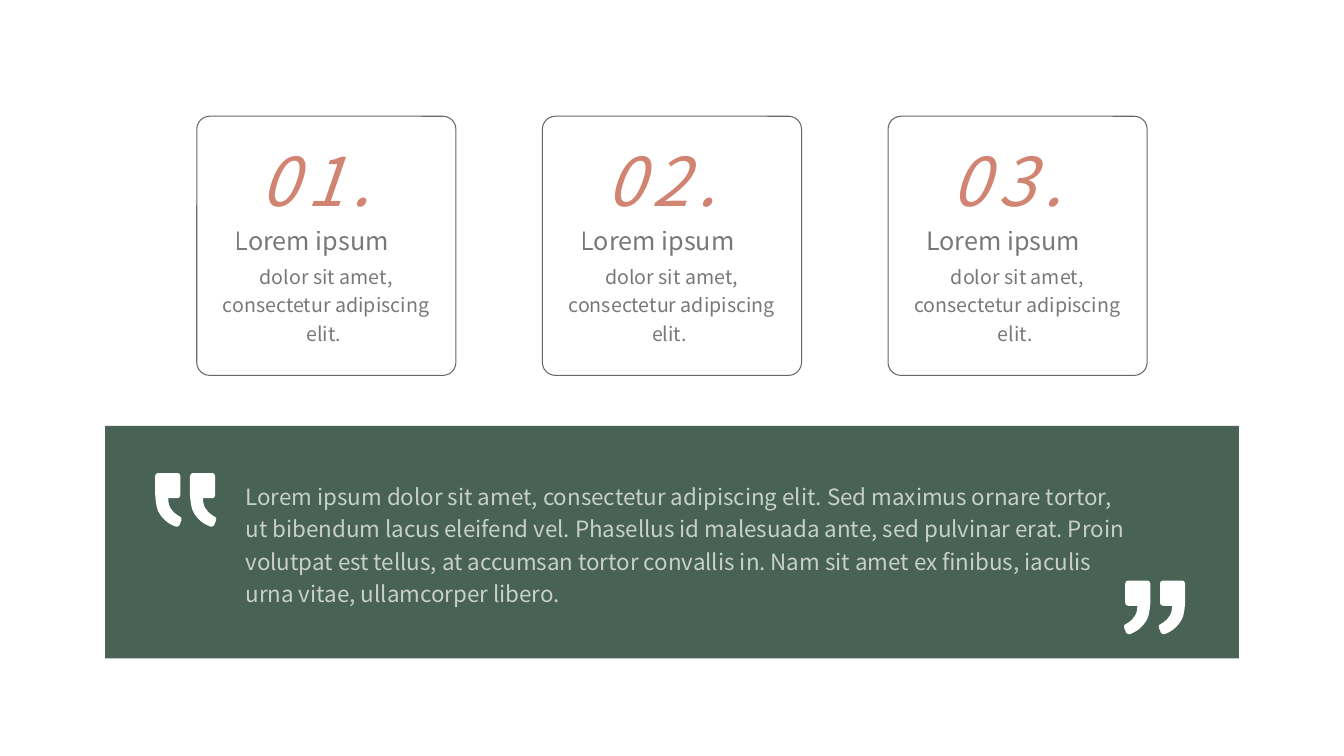
"""Build a slide with three numbered cards above a quotation band."""
from lxml import etree
from pptx import Presentation
from pptx.dml.color import RGBColor
from pptx.enum.shapes import MSO_SHAPE
from pptx.enum.text import MSO_AUTO_SIZE, PP_ALIGN
from pptx.oxml.ns import qn
from pptx.util import Cm, Pt

RECT = MSO_SHAPE.RECTANGLE
ROUNDED = MSO_SHAPE.ROUNDED_RECTANGLE
GROW = MSO_AUTO_SIZE.SHAPE_TO_FIT_TEXT
LEFT, CENTER = PP_ALIGN.LEFT, PP_ALIGN.CENTER
FONT = "Noto Sans CJK SC"
GREEN, CORAL, GRAY, DARK, WHITE = "486255", "D28472", "66676C", "404040", "FFFFFF"
QUOTE = (
    "Lorem ipsum dolor sit amet, consectetur adipiscing elit. Sed maximus ornare "
    "tortor, ut bibendum lacus eleifend vel. Phasellus id malesuada ante, sed "
    "pulvinar erat. Proin volutpat est tellus, at accumsan tortor convallis in. "
    "Nam sit amet ex finibus, iaculis urna vitae, ullamcorper libero."
)


def rgb(value):
    """Turn a hex string into a colour."""
    return RGBColor.from_string(value)


def add_text(text, x, y, w, h, size, color, align=LEFT, spacing=1.0,
             italic=False, tracking=0, opacity=100):
    """Add a text box with one formatted run, placed in centimetres."""
    tf = s.shapes.add_textbox(Cm(x), Cm(y), Cm(w), Cm(h)).text_frame
    tf.word_wrap = True
    tf.auto_size = GROW
    p = tf.paragraphs[0]
    p.alignment = align
    p.line_spacing = spacing
    r = p.add_run()
    r.text = text
    r.font.name = FONT
    r.font.size = Pt(size)
    r.font.italic = italic
    r.font.color.rgb = rgb(color)
    rPr = r._r.get_or_add_rPr()
    if tracking:
        rPr.set("spc", str(tracking * 100))
    if opacity < 100:
        clr = rPr.find(".//" + qn("a:srgbClr"))
        etree.SubElement(clr, qn("a:alpha")).set("val", str(opacity * 1000))


prs = Presentation()
prs.slide_width, prs.slide_height = Cm(33.87), Cm(19.05)
s = prs.slides.add_slide(prs.slide_layouts[6])

band = s.shapes.add_shape(RECT, Cm(2.65), Cm(10.73), Cm(28.57), Cm(5.86))
band.shadow.inherit = False
band.fill.solid()
band.fill.fore_color.rgb = rgb(GREEN)
band.line.fill.background()

for i, number in enumerate(["01.", "02.", "03."]):
    x = 4.96 + 8.71 * i
    card = s.shapes.add_shape(ROUNDED, Cm(x), Cm(2.93), Cm(6.53), Cm(6.53))
    card.adjustments[0] = 0.05
    card.shadow.inherit = False
    card.fill.background()
    card.line.color.rgb = rgb(GRAY)
    card.line.width = Pt(0.75)
    add_text(number, x + 1.36, 3.38, 3.81, 2.31, 48, CORAL, italic=True, tracking=6)
    add_text("dolor sit amet, consectetur adipiscing elit. ", x + 0.3, 6.44, 5.92, 2.36,
             14, DARK, align=CENTER, spacing=1.2, opacity=70)
    add_text("Lorem ipsum", x + 0.71, 5.56, 5.11, 1.02, 18, DARK, opacity=70)

add_text(QUOTE, 5.94, 11.92, 22.96, 3.48, 16, WHITE, spacing=1.2, opacity=70)

UNIT = 0.0254
MARK_GAP = 34.5
MARK_START = (22, 0)
MARK_SEGMENTS = [
    [(3, 0)], [(2, 0), (0, 1), (0, 3)],
    [(0, 18)], [(0, 25), (1, 31), (2, 35)],
    [(3, 39), (6, 43), (9, 46)], [(12, 49), (15, 51), (20, 53)],
    [(21, 54), (23, 53), (24, 52)],
    [(26, 47)], [(27, 45), (26, 43), (24, 43)],
    [(21, 41), (18, 39), (17, 37)], [(14, 34), (13, 30), (13, 25)],
    [(22, 25)], [(24, 25), (25, 24), (25, 22)],
    [(25, 3)], [(25, 1), (24, 0), (22, 0)],
]
outline = [MARK_START] + [pt for segment in MARK_SEGMENTS for pt in segment]

for outer_x, top, direction in [(29.87, 14.63, -1), (3.91, 11.92, 1)]:
    builder = None
    for shift in (0, MARK_GAP):
        pts = [(Cm(outer_x + direction * (u + shift) * UNIT), Cm(top + v * UNIT))
               for u, v in outline]
        if builder is None:
            builder = s.shapes.build_freeform(*pts[0])
        else:
            builder.move_to(*pts[0])
        builder.add_line_segments(pts[1:], close=True)
    marks = builder.convert_to_shape()
    steps = iter(list(marks._element.iter(qn("a:lnTo"))))
    for segment in MARK_SEGMENTS * 2:
        nodes = [next(steps) for _ in segment]
        if len(nodes) == 3:
            curve = etree.Element(qn("a:cubicBezTo"))
            nodes[0].addprevious(curve)
            for node in nodes:
                curve.append(node[0])
                node.getparent().remove(node)
    marks.shadow.inherit = False
    marks.fill.solid()
    marks.fill.fore_color.rgb = rgb(WHITE)
    marks.line.fill.background()

prs.save("out.pptx")
